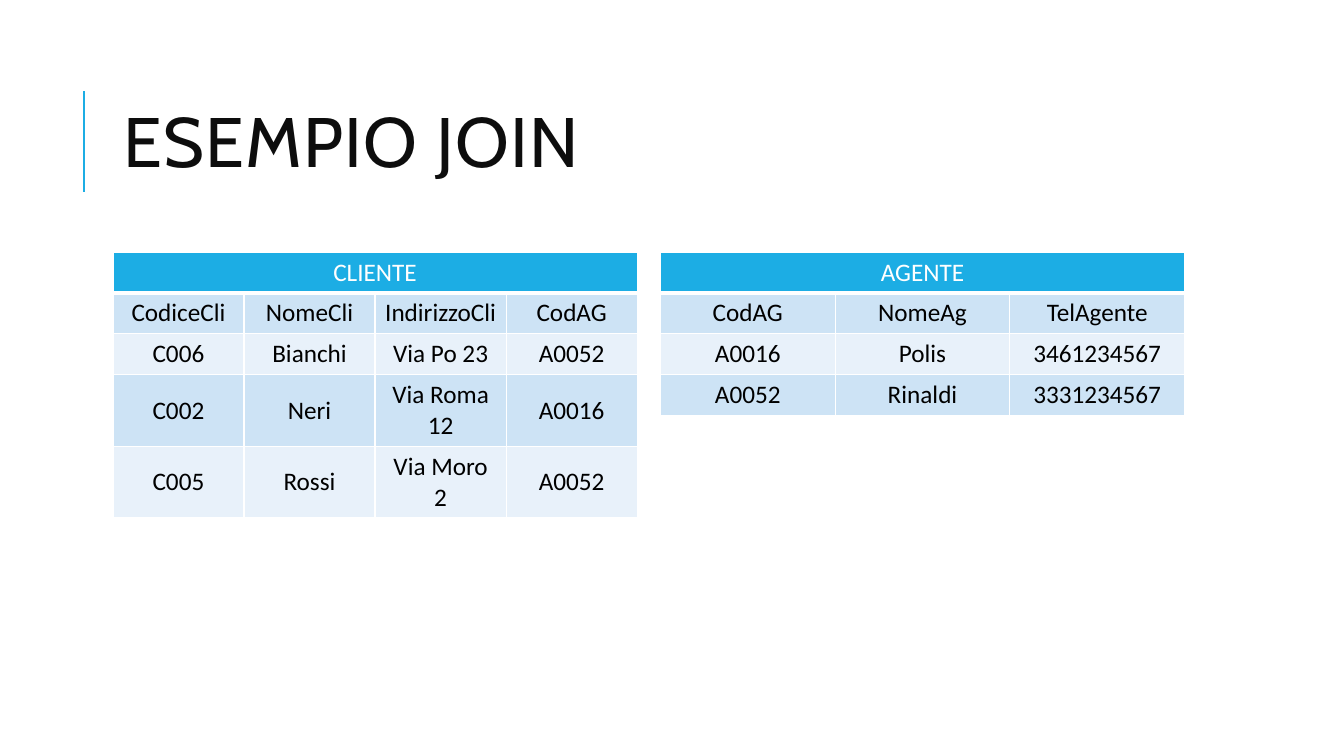
from lxml import etree
from pptx import Presentation
from pptx.dml.color import RGBColor
from pptx.enum import shapes, text
from pptx.oxml import ns
from pptx.util import Inches, Pt

BLUE = RGBColor(0x1C, 0xAD, 0xE4)
PALE = RGBColor(0xCD, 0xE3, 0xF5)
LIGHT = RGBColor(0xE8, 0xF1, 0xFA)
WHITE = RGBColor(0xFF, 0xFF, 0xFF)
BLACK = RGBColor(0, 0, 0)
INK = RGBColor(0x0D, 0x0D, 0x0D)

TOP, WIDTH, ROW = 2.5, 5.2, 0.405
CLIENTS = [
    ("CodiceCli", "NomeCli", "IndirizzoCli", "CodAG"),
    ("C006", "Bianchi", "Via Po 23", "A0052"),
    ("C002", "Neri", "Via Roma 12", "A0016"),
    ("C005", "Rossi", "Via Moro 2", "A0052"),
]
AGENTS = [
    ("CodAG", "NomeAg", "TelAgente"),
    ("A0016", "Polis", "3461234567"),
    ("A0052", "Rinaldi", "3331234567"),
]


def add_title(slide, words):
    title = slide.shapes.title
    title.left, title.top = Inches(1.12), Inches(0.64)
    title.width, title.height = Inches(10.63), Inches(1.64)
    frame = title.text_frame
    frame.text = words
    frame.auto_size = text.MSO_AUTO_SIZE.NONE
    frame.vertical_anchor = text.MSO_ANCHOR.MIDDLE
    para = frame.paragraphs[0]
    para.alignment = text.PP_ALIGN.LEFT
    para.line_spacing = 0.8
    para.font.name, para.font.size = "Cabin", Pt(50)
    para.font.color.rgb = INK
    para.runs[0]._r.get_or_add_rPr().set("spc", "100")


def add_rule(slide):
    x = Inches(0.83)
    rule = slide.shapes.add_connector(
        shapes.MSO_CONNECTOR.STRAIGHT, x, Inches(1.9), x, Inches(0.9))
    rule.line.color.rgb = BLUE
    rule.line.width = Pt(1.5)
    etree.SubElement(rule._element.spPr, ns.qn("a:effectLst"))


def set_edges(cell, base):
    """Draw white borders, with the bottom one base points wide."""
    props = cell._tc.get_or_add_tcPr()
    for spot, (side, width) in enumerate(
            (("L", 1), ("R", 1), ("T", 1), ("B", base))):
        edge = etree.Element(ns.qn("a:ln" + side), w=str(Pt(width)))
        fill = etree.SubElement(edge, ns.qn("a:solidFill"))
        etree.SubElement(fill, ns.qn("a:srgbClr"), val=str(WHITE))
        props.insert(spot, edge)


def fill_cell(cell, words, fill, color, base=1):
    cell.text = words
    cell.vertical_anchor = text.MSO_ANCHOR.MIDDLE
    cell.fill.solid()
    cell.fill.fore_color.rgb = fill
    para = cell.text_frame.paragraphs[0]
    para.alignment = text.PP_ALIGN.CENTER
    para.font.name, para.font.size = "Calibri", Pt(18)
    para.font.bold = False
    para.font.color.rgb = color
    set_edges(cell, base)


def add_grid(slide, left, name, rows):
    """Add a table with its name in a merged heading row."""
    count, cols = len(rows) + 1, len(rows[0])
    grid = slide.shapes.add_table(
        count, cols, Inches(left), Inches(TOP),
        Inches(WIDTH), Inches(ROW * count)).table
    for col in range(cols):
        fill_cell(grid.cell(0, col), "" if col else name, BLUE, WHITE, 3)
    grid.cell(0, 0).merge(grid.cell(0, cols - 1))
    for r, row in enumerate(rows, 1):
        for c, words in enumerate(row):
            fill_cell(grid.cell(r, c), words, PALE if r % 2 else LIGHT, BLACK)


def main():
    deck = Presentation()
    deck.slide_width, deck.slide_height = Inches(13.33), Inches(7.5)
    slide = deck.slides.add_slide(deck.slide_layouts.get_by_name("Title Only"))
    add_rule(slide)
    add_title(slide, "ESEMPIO JOIN")
    add_grid(slide, 1.12, "CLIENTE", CLIENTS)
    add_grid(slide, 6.55, "AGENTE", AGENTS)
    deck.save("out.pptx")


if __name__ == "__main__":
    main()
